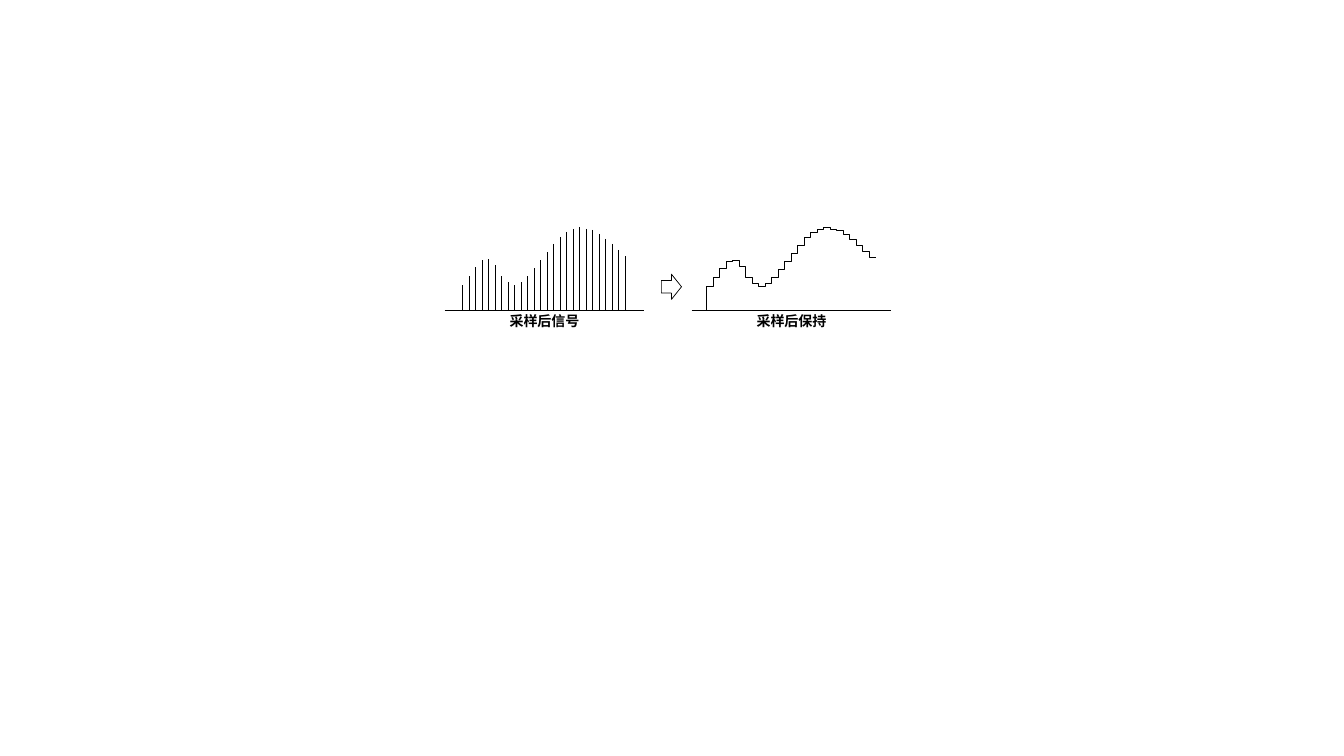
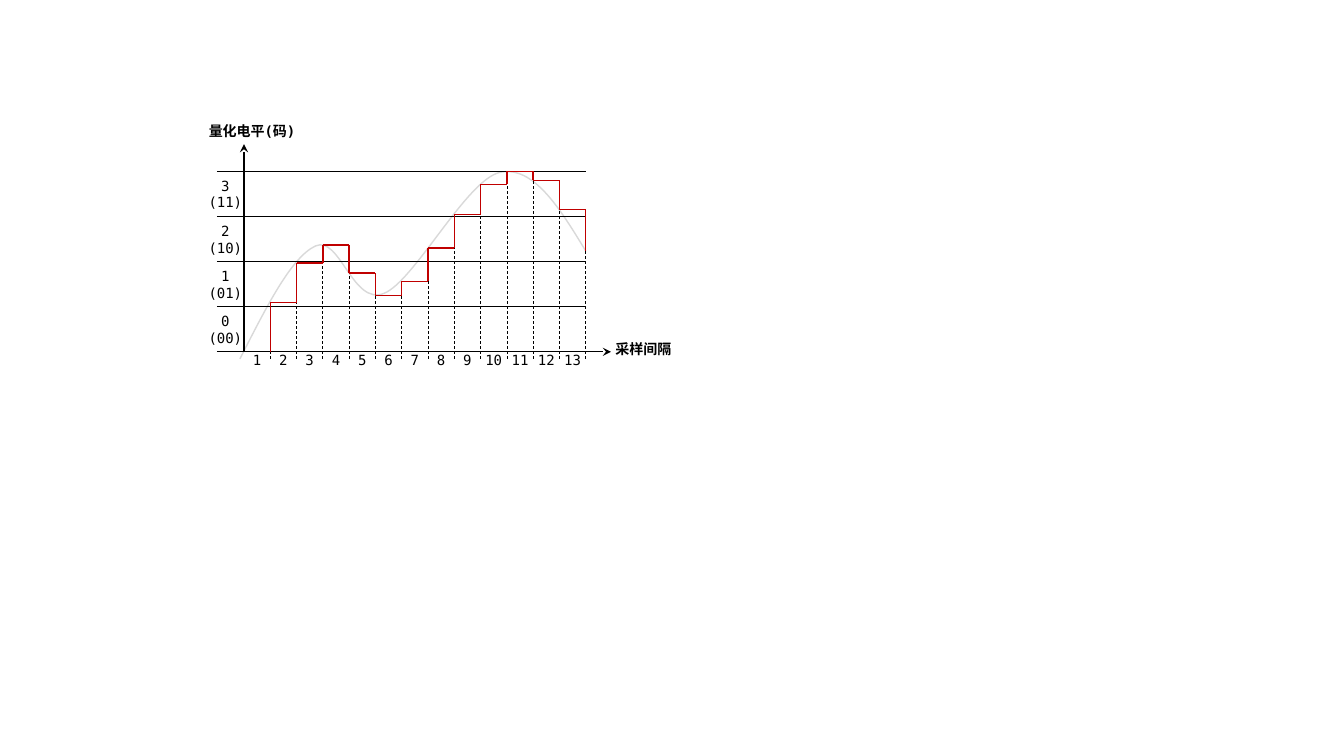
from lxml import etree
from pptx import Presentation
from pptx.dml.color import RGBColor
from pptx.enum import dml, shapes, text
from pptx.oxml.ns import qn
from pptx.util import Emu, Pt

PX = 9144
SLIDE_SIZE = (1333, 750)
FONT = "DejaVu Sans Mono"
TEXT_SIZE = 10
COLORS = {"ink": "000000", "step": "C00000", "curve": "D9D9D9"}

SAMPLE_TOPS = [283, 274, 265, 258, 257, 263, 274, 280, 283, 280, 274, 266, 258,
               250, 242, 235, 230, 227, 225, 227, 228, 232, 237, 242, 248, 254]
SAMPLE_STEP = 6.44
SAMPLE_LEFT, HOLD_LEFT = 459, 701
BASELINE = 308
PANELS = [("采样后信号", 441), ("采样后保持", 686)]
PANEL_WIDTH = 198

LEVEL_LABELS = [("3", "(11)"), ("2", "(10)"), ("1", "(01)"), ("0", "(00)")]
HELD_LEVELS = [349, 300, 261, 243, 271, 293, 279, 246, 213, 183, 170, 179, 208, 249]
CURVE_POINTS = [(238, 356), (264, 305), (289, 255), (313, 244), (337, 233),
                (350, 304), (381, 291), (411, 279), (463, 178), (496, 171),
                (529, 164), (555, 206), (581, 249)]
GRID_LEFT, AXIS_X, GRID_RIGHT = 215, 242, 581
GRID_TOP, AXIS_Y, TICK_BOTTOM = 170, 349, 356


def emu(length):
    return Emu(round(length * PX))


def style_line(line, color="ink", width=0.5, dash=None):
    line.color.rgb = RGBColor.from_string(COLORS[color])
    line.width = Pt(width)
    if dash:
        line.dash_style = dash


def add_line(slide, start, end, color="ink", width=0.5, dash=None, arrow=False):
    connector = slide.shapes.add_connector(
        shapes.MSO_CONNECTOR.STRAIGHT, *map(emu, (*start, *end)))
    style_line(connector.line, color, width, dash)
    properties = connector._element.spPr
    if arrow:
        etree.SubElement(properties.find(qn("a:ln")), qn("a:tailEnd"), type="stealth")
    etree.SubElement(properties, qn("a:effectLst"))


def add_outline(slide, points, color="ink", width=0.5):
    vertices = [(emu(x), emu(y)) for x, y in points]
    builder = slide.shapes.build_freeform(*vertices[0])
    builder.add_line_segments(vertices[1:], close=False)
    shape = builder.convert_to_shape()
    shape.shadow.inherit = False
    shape.fill.background()
    style_line(shape.line, color, width)
    return shape


def add_curve(slide, points, color, width):
    shape = add_outline(slide, points, color, width)
    segments = list(shape._element.iter(qn("a:lnTo")))
    for first in range(0, len(segments), 3):
        cubic = etree.Element(qn("a:cubicBezTo"))
        segments[first].addprevious(cubic)
        for segment in segments[first:first + 3]:
            cubic.append(segment[0])
            segment.getparent().remove(segment)


def add_label(slide, lines, left, top, width, height, bold=False):
    box = slide.shapes.add_textbox(*map(emu, (left, top, width, height)))
    frame = box.text_frame
    frame.word_wrap = True
    frame.vertical_anchor = text.MSO_ANCHOR.MIDDLE
    frame.margin_left = frame.margin_right = 0
    frame.margin_top = frame.margin_bottom = 0
    for index, words in enumerate(lines):
        paragraph = frame.add_paragraph() if index else frame.paragraphs[0]
        paragraph.alignment = text.PP_ALIGN.CENTER
        run = paragraph.add_run()
        run.text = words
        run.font.size = Pt(TEXT_SIZE)
        run.font.bold = bold
        run.font.color.rgb = RGBColor.from_string(COLORS["ink"])
        run.font.name = FONT
        etree.SubElement(run._r.get_or_add_rPr(), qn("a:ea"), typeface=FONT)


def build_sampling(slide):
    for index, top in enumerate(SAMPLE_TOPS):
        x = SAMPLE_LEFT + index * SAMPLE_STEP
        add_line(slide, (x, top), (x, BASELINE))

    stairs = [(HOLD_LEFT + (index + side) * SAMPLE_STEP, top + 1)
              for index, top in enumerate(SAMPLE_TOPS) for side in (0, 1)]
    add_outline(slide, stairs)
    add_line(slide, stairs[0], (HOLD_LEFT, BASELINE))

    for caption, left in PANELS:
        add_line(slide, (left, BASELINE), (left + PANEL_WIDTH, BASELINE))
        add_label(slide, [caption], left + (PANEL_WIDTH - 71) / 2, 310, 71, 17, bold=True)

    arrow = slide.shapes.add_shape(
        shapes.MSO_SHAPE.RIGHT_ARROW, *map(emu, (656, 272, 20, 25)))
    arrow.shadow.inherit = False
    arrow.fill.background()
    style_line(arrow.line)


def build_quantizing(slide):
    interval = (GRID_RIGHT - AXIS_X) / (len(HELD_LEVELS) - 1)
    band = (AXIS_Y - GRID_TOP) / len(LEVEL_LABELS)
    ticks = [AXIS_X + number * interval for number in range(1, len(HELD_LEVELS))]
    steps = list(zip(ticks, HELD_LEVELS, HELD_LEVELS[1:]))

    add_curve(slide, CURVE_POINTS, "curve", 1)
    for x, before, after in steps:
        add_line(slide, (x, TICK_BOTTOM), (x, max(before, after)),
                 dash=dml.MSO_LINE.DASH)
    for index, words in enumerate(LEVEL_LABELS):
        y = GRID_TOP + index * band
        add_line(slide, (GRID_LEFT, y), (GRID_RIGHT, y))
        add_label(slide, words, 206, y, 35, band)
    for number, x in enumerate(ticks, 1):
        add_label(slide, [str(number)], x - interval, AXIS_Y, interval, 17)

    add_line(slide, (AXIS_X, AXIS_Y), (AXIS_X, 143), width=1, arrow=True)
    add_line(slide, (GRID_LEFT, AXIS_Y), (606, AXIS_Y), width=1, arrow=True)
    for x, before, after in steps:
        add_line(slide, (x, before), (x, after), "step", 1)
    for x, before, after in steps[:-1]:
        add_line(slide, (x, after), (x + interval, after), "step", 1)

    add_label(slide, ["采样间隔"], 602, 338, 72, 17, bold=True)
    add_label(slide, ["量化电平(码)"], 206, 121, 88, 17, bold=True)


def main():
    presentation = Presentation()
    presentation.slide_width, presentation.slide_height = map(emu, SLIDE_SIZE)
    for build in (build_sampling, build_quantizing):
        build(presentation.slides.add_slide(presentation.slide_layouts[6]))
    presentation.save("out.pptx")


if __name__ == "__main__":
    main()
